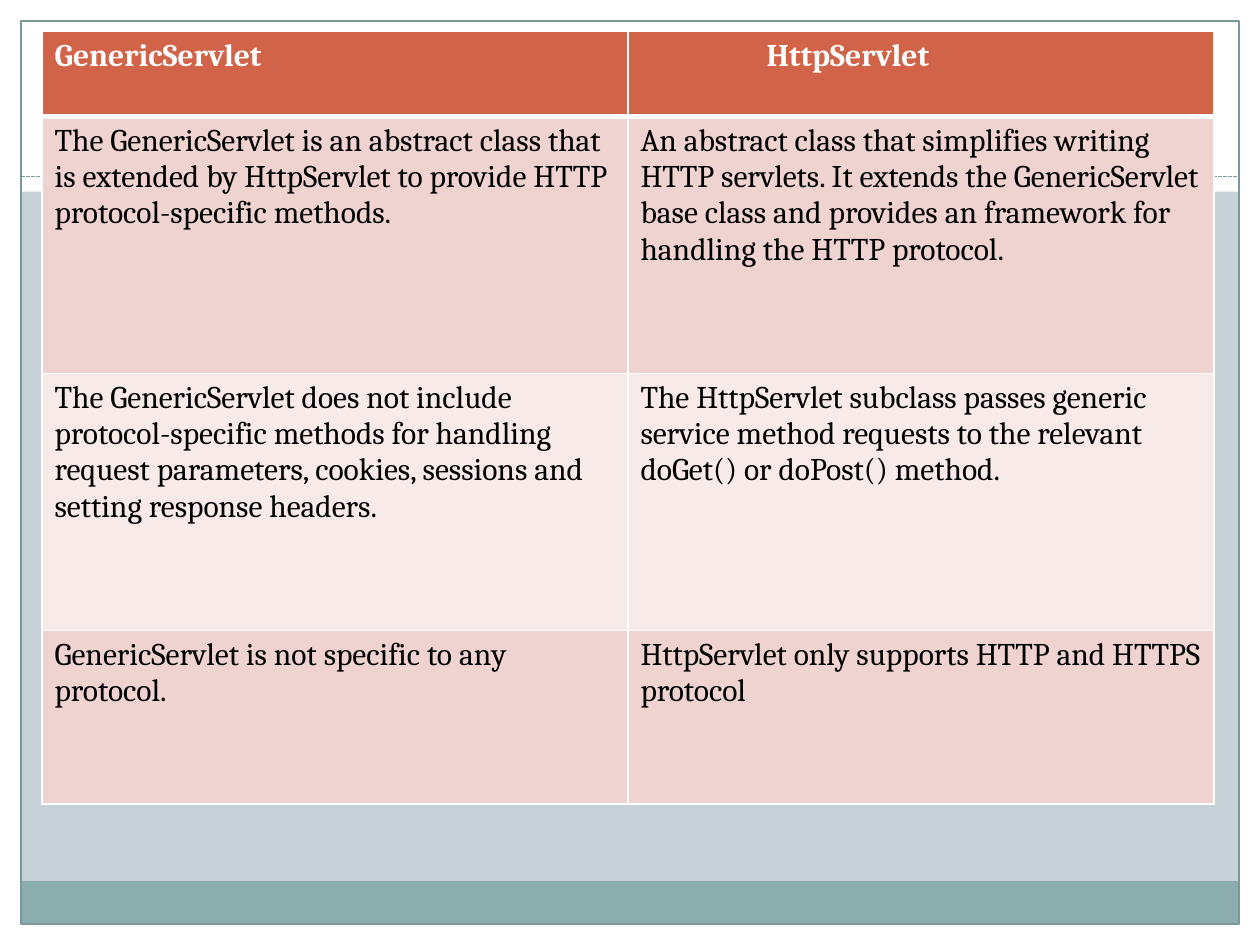
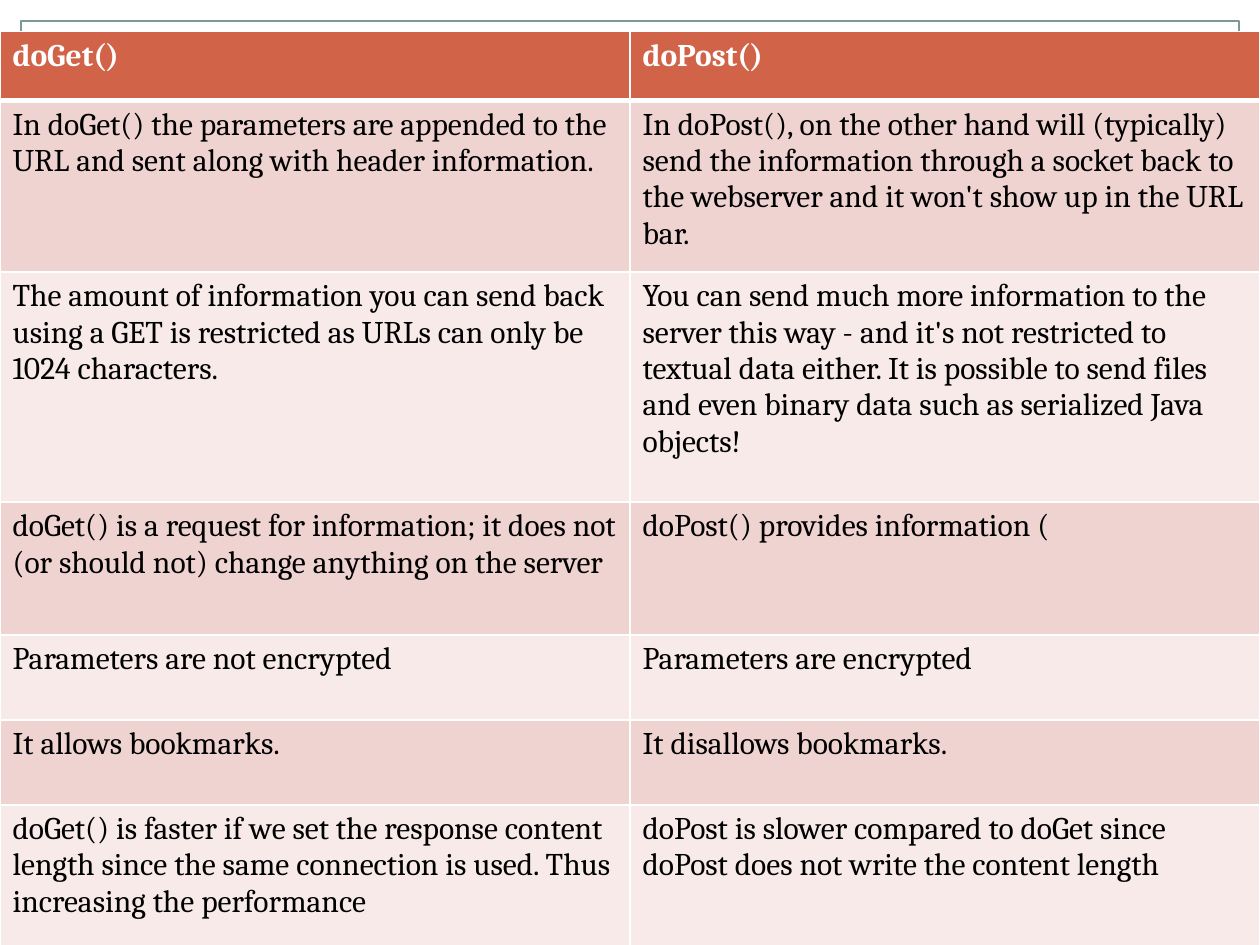
from lxml import etree
from pptx import Presentation
from pptx.dml.color import RGBColor
from pptx.enum import dml, shapes
from pptx.oxml import ns
from pptx.util import Pt

WHITE = RGBColor(0xFF, 0xFF, 0xFF)
BLACK = RGBColor(0, 0, 0)
MIST = RGBColor(0xC5, 0xD1, 0xD7)
TEAL = RGBColor(0x8C, 0xAD, 0xAE)
SLATE = RGBColor(0x7C, 0x99, 0x9A)
RUST = RGBColor(0xD1, 0x63, 0x49)
ROSE = RGBColor(0xEE, 0xD3, 0xD0)
BLUSH = RGBColor(0xF7, 0xEA, 0xE9)
FONT = "Cambria"
WIDE, HIGH, EDGE = 720, 540, 12
RECT, OVAL = shapes.MSO_SHAPE.RECTANGLE, shapes.MSO_SHAPE.OVAL

SERVLETS = [
    ("GenericServlet", "HttpServlet"),
    ("The GenericServlet is an abstract class that is extended by HttpServlet to provide HTTP protocol-specific methods.",
     "An abstract class that simplifies writing HTTP servlets. It extends the GenericServlet base class and provides an framework for handling the HTTP protocol."),
    ("The GenericServlet does not include protocol-specific methods for handling request parameters, cookies, sessions and setting response headers.",
     "The HttpServlet subclass passes generic service method requests to the relevant doGet() or doPost() method."),
    ("GenericServlet is not specific to any protocol.",
     "HttpServlet only supports HTTP and HTTPS protocol"),
]
METHODS = [
    ("doGet()", "doPost()"),
    ("In doGet() the parameters are appended to the URL and sent along with header information.",
     "In doPost(), on the other hand will (typically) send the information through a socket back to the webserver and it won't show up in the URL bar."),
    ("The amount of information you can send back using a GET is restricted as URLs can only be 1024 characters.",
     "You can send much more information to the server this way - and it's not restricted to textual data either. It is possible to send files and even binary data such as serialized Java objects!"),
    ("doGet() is a request for information; it does not (or should not) change anything on the server",
     "doPost() provides information ("),
    ("Parameters are not encrypted", "Parameters are encrypted"),
    ("It allows bookmarks.", "It disallows bookmarks."),
    ("doGet() is faster if we set the response content length since the same connection is used. Thus increasing the performance",
     "doPost is slower compared to doGet since doPost does not write the content length"),
]


def write(frame, words, size=18, color=BLACK, bold=False):
    run = frame.paragraphs[0].add_run()
    run.text = words
    run.font.name = FONT
    run.font.size = Pt(size)
    run.font.bold = bold
    run.font.color.rgb = color


def border(cell, **widths):
    props = cell._tc.get_or_add_tcPr()
    for side in "LRTB":
        width = Pt(widths.get(side, 1))
        line = etree.SubElement(props, ns.qn("a:ln" + side), w=str(width))
        fill = etree.SubElement(line, ns.qn("a:solidFill"))
        etree.SubElement(fill, ns.qn("a:srgbClr"), val=str(WHITE))


class Deck:
    def __init__(self):
        self.show = Presentation()
        self.show.slide_width = Pt(WIDE)
        self.show.slide_height = Pt(HIGH)
        self.slide = None

    def page(self):
        self.slide = self.show.slides.add_slide(self.show.slide_layouts[6])
        back = self.slide.background.fill
        back.solid()
        back.fore_color.rgb = MIST
        inner = WIDE - 2 * EDGE
        self.shape(RECT, 0, HIGH - EDGE, WIDE, EDGE, fill=WHITE)
        self.shape(RECT, 0, 0, WIDE, 109.5, fill=WHITE)
        for left in (0, WIDE - EDGE):
            self.shape(RECT, left, 0, EDGE, HIGH, fill=WHITE)
        self.shape(RECT, EDGE, 503.5, inner, 24.5, fill=TEAL)
        self.shape(RECT, EDGE, EDGE, inner, HIGH - 2 * EDGE, line=SLATE)
        self.dash(EDGE, 100.8, WIDE - EDGE)
        self.ring(48, fill=WHITE)
        self.ring(33, fill=WHITE, line=SLATE, width=4)

    def shape(self, kind, left, top, wide, high, fill=None, line=None, width=0.75):
        item = self.slide.shapes.add_shape(kind, Pt(left), Pt(top), Pt(wide), Pt(high))
        item.shadow.inherit = False
        if fill is None:
            item.fill.background()
        else:
            item.fill.solid()
            item.fill.fore_color.rgb = fill
        if line is None:
            item.line.fill.background()
        else:
            item.line.color.rgb = line
            item.line.width = Pt(width)

    def ring(self, size, **style):
        self.shape(OVAL, (WIDE - size) / 2, 99.6 - size / 2, size, size, **style)

    def dash(self, left, top, right):
        line = self.slide.shapes.add_connector(
            shapes.MSO_CONNECTOR.STRAIGHT, Pt(left), Pt(top), Pt(right), Pt(top))
        line.line.color.rgb = SLATE
        line.line.width = Pt(0.75)
        line.line.dash_style = dml.MSO_LINE.SQUARE_DOT
        etree.SubElement(line._element.spPr, ns.qn("a:effectLst"))

    def table(self, rows, left, wide, highs):
        grid = self.slide.shapes.add_table(
            len(rows), 2, Pt(left), Pt(18), Pt(wide), Pt(sum(highs))).table
        for col in grid.columns:
            col.width = Pt(wide / 2)
        for r, (pair, high) in enumerate(zip(rows, highs)):
            grid.rows[r].height = Pt(high)
            head = r == 0
            for c, words in enumerate(pair):
                cell = grid.cell(r, c)
                border(cell, T=3 if r == 1 else 1, B=3 if head else 1)
                cell.fill.solid()
                cell.fill.fore_color.rgb = RUST if head else (BLUSH, ROSE)[r % 2]
                write(cell.text_frame, words, color=WHITE if head else BLACK, bold=head)
        return grid


def main():
    deck = Deck()
    deck.page()
    grid = deck.table(SERVLETS, 24, 669.6, [48.5, 147, 147, 99])
    grid.cell(0, 1).margin_left = Pt(79.2)
    deck.page()
    deck.table(METHODS, 0, WIDE, [39.5, 98, 131.5, 76, 48.5, 48.5, 108])
    deck.show.save("out.pptx")


if __name__ == "__main__":
    main()
